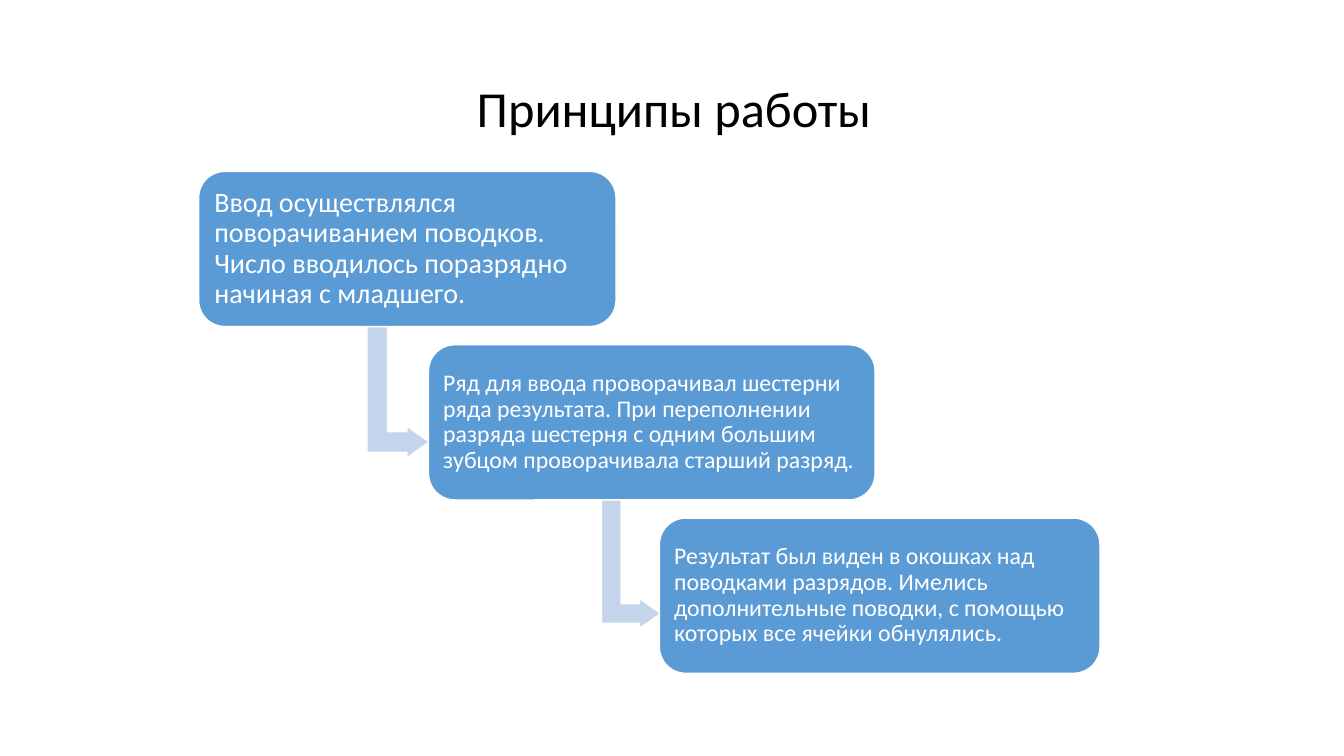
from pptx import Presentation
from pptx.dml.color import RGBColor
from pptx.enum.shapes import MSO_SHAPE
from pptx.enum.text import MSO_ANCHOR, MSO_AUTO_SIZE, PP_ALIGN
from pptx.util import Inches, Pt

ROUNDED = MSO_SHAPE.ROUNDED_RECTANGLE
BENT_ARROW = MSO_SHAPE.BENT_UP_ARROW
MIDDLE = MSO_ANCHOR.MIDDLE
LEFT = PP_ALIGN.LEFT
FIT_SHAPE = MSO_AUTO_SIZE.SHAPE_TO_FIT_TEXT

STEP_TOP, STEP_PITCH, STEP_HEIGHT = 1.7, 1.72, 1.54
STEPS = [
    (1.97, 4.14, 20, 0.08,
     "Ввод осуществлялся поворачиванием поводков. "
     "Число вводилось поразрядно начиная с младшего."),
    (4.25, 4.43, 17, 0.07,
     "Ряд для ввода проворачивал шестерни ряда результата. "
     "При переполнении разряда шестерня с одним большим зубцом "
     "проворачивала старший разряд."),
    (6.54, 4.37, 17, 0.07,
     "Результат был виден в окошках над поводками разрядов. "
     "Имелись дополнительные поводки, с помощью которых все ячейки обнулялись."),
]
ARROWS = [(3.3, 3.58, 0.62), (5.61, 5.29, 0.59)]


def color(value):
    return RGBColor.from_string(value)


def write_text(frame, text, size, font, fill, spacing=1.0):
    paragraph = frame.paragraphs[0]
    paragraph.alignment = LEFT
    paragraph.line_spacing = spacing
    run = paragraph.add_run()
    run.text = text
    run.font.size = Pt(size)
    run.font.name = font
    run.font.color.rgb = color(fill)


class StepSlide:
    font = "Calibri"
    title_color = "000000"
    step_color = "5B9BD5"
    arrow_color = "C4D5EB"
    light = "FFFFFF"

    def __init__(self, presentation):
        self.slide = presentation.slides.add_slide(presentation.slide_layouts[6])

    def title(self, text, left, top, width, height):
        shape = self.slide.shapes.add_textbox(
            Inches(left), Inches(top), Inches(width), Inches(height))
        frame = shape.text_frame
        frame.word_wrap = False
        frame.auto_size = FIT_SHAPE
        write_text(frame, text, size=36, font=self.font, fill=self.title_color)

    def block(self, kind, left, top, width, height, fill, adjustments):
        shape = self.slide.shapes.add_shape(
            kind, Inches(left), Inches(top), Inches(width), Inches(height))
        shape.shadow.inherit = False
        shape.fill.solid()
        shape.fill.fore_color.rgb = color(fill)
        shape.line.color.rgb = color(self.light)
        shape.line.width = Pt(1)
        for index, value in enumerate(adjustments):
            shape.adjustments[index] = value
        return shape

    def arrow(self, left, top, height):
        shape = self.block(BENT_ARROW, left, top, 1.3, height,
                           self.arrow_color, (0.33, 0.25, 0.36))
        shape.rotation = 90

    def step(self, left, top, width, size, margin, text):
        shape = self.block(ROUNDED, left, top, width, STEP_HEIGHT,
                           self.step_color, (0.17,))
        frame = shape.text_frame
        frame.word_wrap = True
        frame.vertical_anchor = MIDDLE
        frame.margin_left = frame.margin_right = Inches(margin)
        frame.margin_top = frame.margin_bottom = Inches(margin)
        write_text(frame, text, size=size, font=self.font,
                   fill=self.light, spacing=0.9)


def main():
    presentation = Presentation()
    presentation.slide_width = Inches(13.33)
    presentation.slide_height = Inches(7.5)
    page = StepSlide(presentation)
    page.title("Принципы работы", 4.63, 0.72, 4.15, 0.71)
    for arrow in ARROWS:
        page.arrow(*arrow)
    for index, (left, width, size, margin, text) in enumerate(STEPS):
        page.step(left, STEP_TOP + index * STEP_PITCH, width, size, margin, text)
    presentation.save("out.pptx")


if __name__ == "__main__":
    main()
